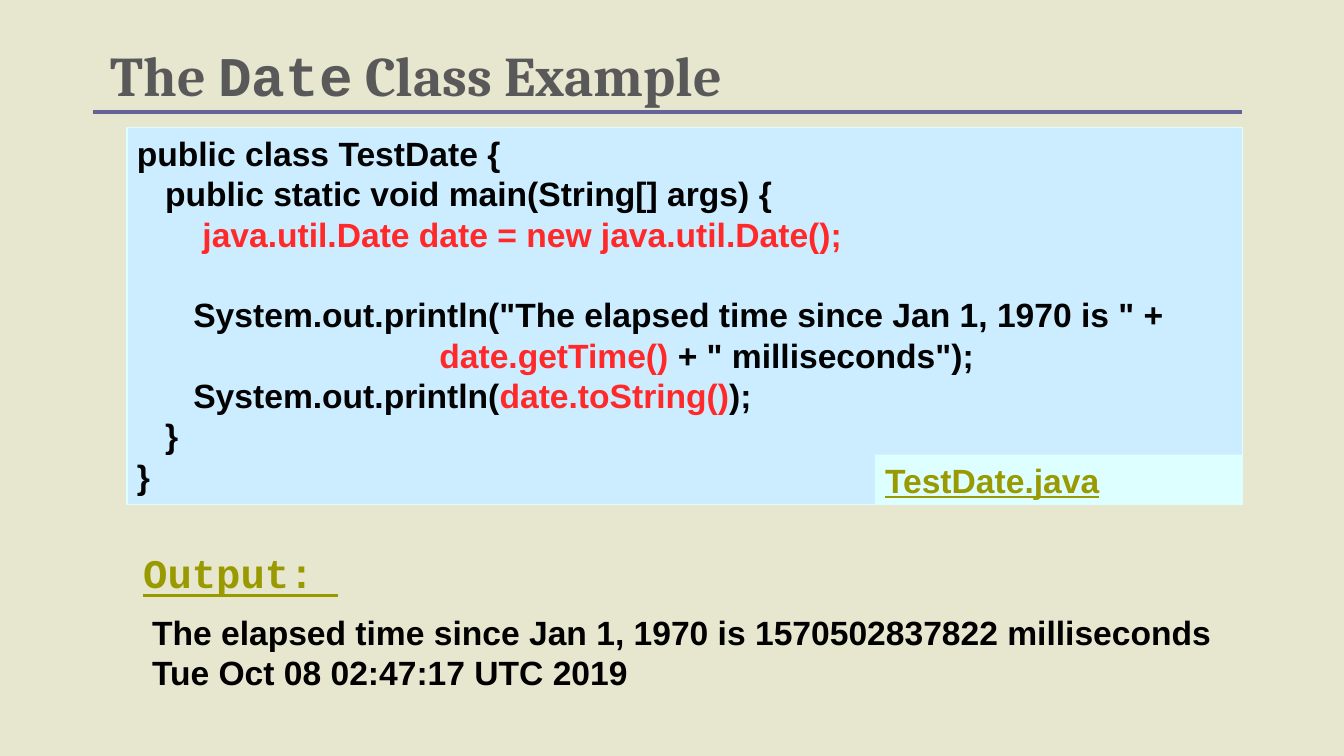
from dataclasses import dataclass

from lxml.etree import SubElement
from pptx import Presentation
from pptx.dml.color import RGBColor as Color
from pptx.enum.shapes import MSO_CONNECTOR as Connector, MSO_SHAPE as Shape
from pptx.enum.text import MSO_ANCHOR as Anchor, MSO_AUTO_SIZE as AutoSize, PP_ALIGN as Align
from pptx.oxml.ns import qn
from pptx.util import Pt

PX = 9144  # EMU in one px, 100 px to the inch


@dataclass(frozen=True)
class Theme:
    background: str = "E7E7CF"
    title: str = "595959"
    rule: str = "636397"
    panel: str = "CCECFF"
    label: str = "DDFFFF"
    link: str = "999900"
    code: str = "020202"
    black: str = "000000"
    highlight: str = "FF2929"
    heading_font: str = "Cambria"
    mono_font: str = "Courier New"
    text_font: str = "Arial"
    title_size: int = 40
    output_size: int = 29
    text_size: int = 24
    line_height: float = 28.8


THEME = Theme()

# Each line: indent in px, blank lines above, then (text, colour) parts
CODE = [
    (0, 0, [("public class TestDate {", THEME.code)]),
    (28, 0, [("public static void main(String[] args) ", THEME.black), ("{", THEME.code)]),
    (65, 0, [("java.util.Date date = new java.util.Date();", THEME.highlight)]),
    (56, 1, [('System.out.println("The elapsed time since Jan 1, 1970 is " +', THEME.code)]),
    (300, 0, [("date.getTime() ", THEME.highlight), ('+ " milliseconds");', THEME.code)]),
    (56, 0, [("System.out.println(", THEME.code), ("date.toString()", THEME.highlight),
             (");", THEME.code)]),
    (28, 0, [("}", THEME.code)]),
    (0, 0, [("}", THEME.code)]),
]
OUTPUT = [
    (0, 0, [("The elapsed time since Jan 1, 1970 is 1570502837822 milliseconds", THEME.black)]),
    (0, 0, [("Tue Oct 08 02:47:17 UTC 2019", THEME.black)]),
]
FILE_LABEL = [(0, 0, [("TestDate.java", THEME.link)])]


def place(shape, left, top, width, height):
    shape.left, shape.top = left * PX, top * PX
    shape.width, shape.height = width * PX, height * PX


def add_run(paragraph, text, font, size, color, underline=None):
    run = paragraph.add_run()
    run.text = text
    run.font.name, run.font.size = font, Pt(size)
    run.font.bold, run.font.underline = True, underline
    run.font.color.rgb = Color.from_string(color)


def set_indent(paragraph, indent):
    properties = paragraph._p.get_or_add_pPr()
    properties.set("marL", str(indent * PX))
    properties.set("indent", "0")
    return properties


def write_lines(shape, lines, underline=None):
    frame = shape.text_frame
    frame.word_wrap = True
    frame.vertical_anchor = Anchor.TOP
    for number, (indent, blank_lines, parts) in enumerate(lines):
        paragraph = frame.add_paragraph() if number else frame.paragraphs[0]
        paragraph.alignment = Align.LEFT
        paragraph.line_spacing = Pt(THEME.line_height)
        paragraph.space_before = Pt(blank_lines * THEME.line_height)
        set_indent(paragraph, indent)
        for text, color in parts:
            add_run(paragraph, text, THEME.text_font, THEME.text_size, color, underline)


def add_panel(slide, box, fill, line=None):
    panel = slide.shapes.add_shape(Shape.RECTANGLE, *(length * PX for length in box))
    panel.shadow.inherit = False
    panel.fill.solid()
    panel.fill.fore_color.rgb = Color.from_string(fill)
    if line:
        panel.line.color.rgb = Color.from_string(line)
        panel.line.width = Pt(0.75)
    else:
        panel.line.fill.background()
    return panel


def add_rule(slide, left, right, top):
    rule = slide.shapes.add_connector(
        Connector.STRAIGHT, left * PX, top * PX, right * PX, top * PX)
    rule.line.color.rgb = Color.from_string(THEME.rule)
    rule.line.width = Pt(2.5)
    SubElement(rule._element.spPr, qn("a:effectLst"))


def fill_title(title):
    place(title, 100, 53, 950, 58)
    frame = title.text_frame
    frame.auto_size = AutoSize.NONE
    frame.vertical_anchor = Anchor.BOTTOM
    paragraph = frame.paragraphs[0]
    paragraph.alignment = Align.LEFT
    paragraph.line_spacing = 0.8
    for text, font in [("The ", THEME.heading_font), ("Date", THEME.mono_font),
                       (" Class Example", THEME.heading_font)]:
        add_run(paragraph, text, font, THEME.title_size, THEME.title)


def fill_output_heading(body):
    place(body, 126, 539, 983, 59)
    body.text_frame.auto_size = AutoSize.NONE
    paragraph = body.text_frame.paragraphs[0]
    paragraph.space_before = Pt(THEME.output_size * 0.2)
    SubElement(set_indent(paragraph, 6), qn("a:buNone"))
    add_run(paragraph, "Output: ", THEME.mono_font, THEME.output_size, THEME.link, True)


def main():
    presentation = Presentation()
    presentation.slide_width, presentation.slide_height = 1333 * PX, 750 * PX
    slide = presentation.slides.add_slide(presentation.slide_layouts[1])
    slide.background.fill.solid()
    slide.background.fill.fore_color.rgb = Color.from_string(THEME.background)

    # Title and output heading
    fill_title(slide.shapes.title)
    fill_output_heading(slide.placeholders[1])

    # Code listing
    write_lines(add_panel(slide, (126, 127, 1106, 374), THEME.panel, THEME.label), CODE)

    # Program output
    output = slide.shapes.add_textbox(141 * PX, 602 * PX, 1150 * PX, 91 * PX)
    write_lines(output, OUTPUT)

    # File name in the corner of the listing
    write_lines(add_panel(slide, (868, 451, 364, 50), THEME.label), FILE_LABEL, True)

    # Line under the title
    add_rule(slide, 92, 1232, 111)
    presentation.save("out.pptx")


if __name__ == "__main__":
    main()
